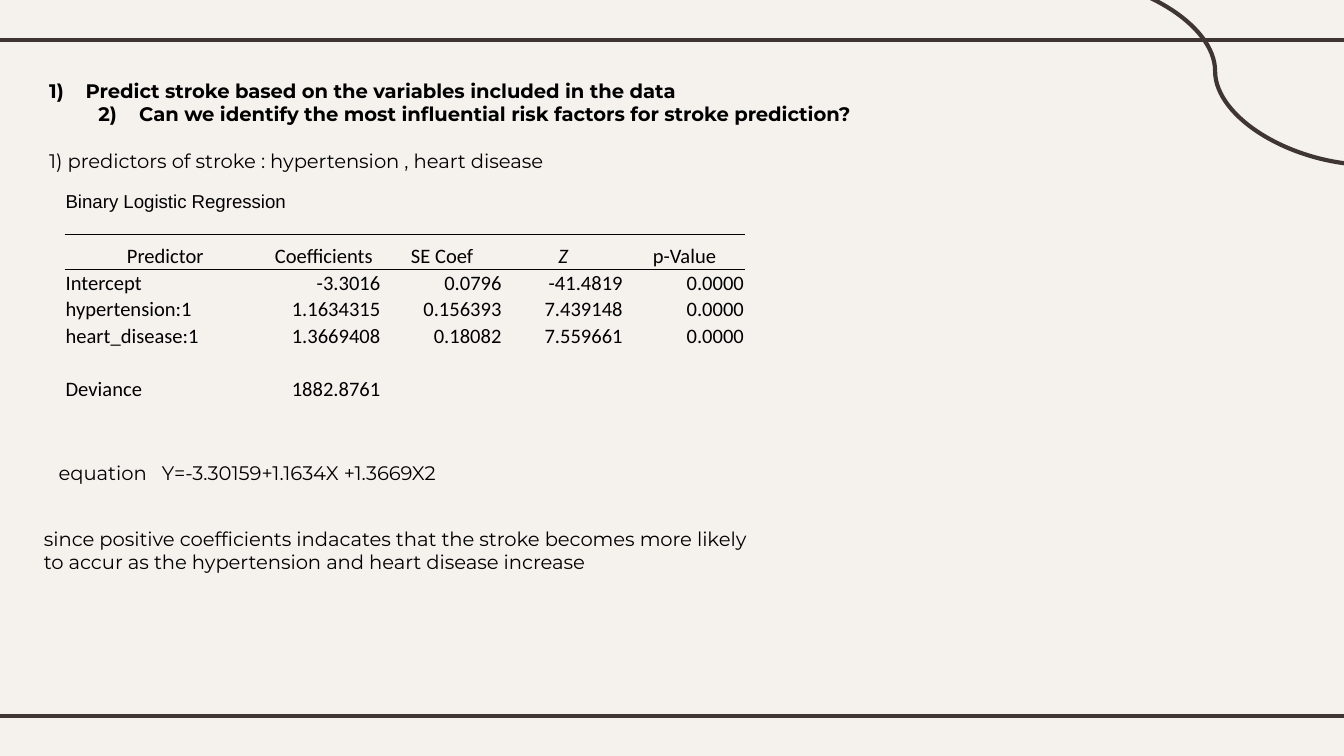
from lxml.etree import SubElement
from pptx import Presentation
from pptx.dml.color import RGBColor
from pptx.enum.shapes import MSO_CONNECTOR as Connector
from pptx.enum.text import MSO_ANCHOR as Anchor, PP_ALIGN as Align
from pptx.oxml.ns import qn
from pptx.util import Cm, Pt

CREAM = RGBColor(0xF5, 0xF2, 0xEE)
BROWN = RGBColor(0x3F, 0x35, 0x33)
BLACK = RGBColor(0, 0, 0)
NO_STYLE = "{2D5ABB26-0587-4C30-8999-92F81FD0307C}"

COLUMN_WIDTHS = [3.81, 2.18, 2.29, 2.29, 2.29]
ROW_HEIGHTS = [0.43, 0.41, 0.66] + [0.5] * 5
HEADER_ROW = 2
REGRESSION = [
    ["Binary Logistic Regression"],
    [],
    ["Predictor", "Coefficients", "SE Coef", "Z", "p-Value"],
    ["Intercept", "-3.3016", "0.0796", "-41.4819", "0.0000"],
    ["hypertension:1", "1.1634315", "0.156393", "7.439148", "0.0000"],
    ["heart_disease:1", "1.3669408", "0.18082", "7.559661", "0.0000"],
    [],
    ["Deviance", "1882.8761"],
]


def add_line(page, start, end, kind=Connector.STRAIGHT):
    line = page.shapes.add_connector(kind, *(Cm(v) for v in start + end))
    line.line.color.rgb = BROWN
    line.line.width = Pt(2.25)
    SubElement(line._element.spPr, qn("a:effectLst"))


def add_box(page, left, top, width, height, inset=0.13):
    box = page.shapes.add_textbox(Cm(left), Cm(top), Cm(width), Cm(height))
    frame = box.text_frame
    frame.word_wrap = True
    frame.margin_top = frame.margin_bottom = Cm(inset)
    return frame


def write(para, text, font="Montserrat", size=10.5, bold=False, italic=False,
          align=Align.LEFT, before=0, start=0, tab=None):
    """Fill a paragraph; start and tab are distances in cm from the text edge."""
    properties = para._p.get_or_add_pPr()
    if start:
        hang = (tab or start) - start
        properties.set("marL", str(Cm(start + hang)))
        properties.set("indent", str(-Cm(hang)))
    if tab:
        stops = SubElement(properties, qn("a:tabLst"))
        SubElement(stops, qn("a:tab"), pos=str(Cm(tab)), algn="l")
    para.alignment = align
    if before:
        para.space_before = Pt(before)
    span = para.add_run()
    span.text = text
    span.font.name = font
    span.font.size = Pt(size)
    span.font.bold = bold
    span.font.italic = italic
    span.font.color.rgb = BLACK


def add_border(cell, side):
    border = SubElement(cell._tc.get_or_add_tcPr(), qn(f"a:{side}"), w=str(Pt(0.5)))
    fill = SubElement(border, qn("a:solidFill"))
    SubElement(fill, qn("a:srgbClr"), val=str(BLACK))


def fill_cell(cell, text, row, column):
    cell.margin_left = cell.margin_right = cell.margin_top = Cm(0.02)
    cell.margin_bottom = 0
    cell.vertical_anchor = Anchor.BOTTOM
    if row == HEADER_ROW:
        add_border(cell, "lnT")
        add_border(cell, "lnB")
    cell.fill.background()
    para = cell.text_frame.paragraphs[0]
    if not text:
        SubElement(para._p, qn("a:endParaRPr"), sz="800")
    elif row == 0:
        write(para, text, font="Arial", size=10)
    elif row == HEADER_ROW:
        write(para, text, font="Calibri", size=11, italic=text == "Z", align=Align.CENTER)
    else:
        write(para, text, font="Calibri", size=11,
              align=Align.RIGHT if column else Align.LEFT)


def add_regression_table(page, left, top):
    frame = page.shapes.add_table(
        len(ROW_HEIGHTS), len(COLUMN_WIDTHS), Cm(left), Cm(top),
        Cm(sum(COLUMN_WIDTHS)), Cm(sum(ROW_HEIGHTS)))
    table = frame.table
    table.first_row = table.horz_banding = False
    table._tbl.tblPr.find(qn("a:tableStyleId")).text = NO_STYLE
    for column, width in zip(table.columns, COLUMN_WIDTHS):
        column.width = Cm(width)
    for row, height in zip(table.rows, ROW_HEIGHTS):
        row.height = Cm(height)
    for r, values in enumerate(REGRESSION):
        for c in range(len(COLUMN_WIDTHS)):
            fill_cell(table.cell(r, c), values[c] if c < len(values) else "", r, c)
    table.cell(0, 0).merge(table.cell(0, 1))


def add_questions(page):
    frame = add_box(page, 0.58, 1.24, 22.83, 12.07, inset=0.25)
    write(frame.paragraphs[0],
          "1)\tPredict stroke based on the variables included in the data",
          bold=True, start=0.1, tab=0.79)
    write(frame.add_paragraph(),
          "2)\tCan we identify the most influential risk factors for stroke prediction?",
          bold=True, start=1.03, tab=1.8)
    write(frame.add_paragraph(),
          "1) predictors of stroke : hypertension , heart disease",
          before=12.6, start=0.1)


def main():
    deck = Presentation()
    deck.slide_width, deck.slide_height = Cm(25.4), Cm(14.29)
    page = deck.slides.add_slide(deck.slide_layouts[6])
    page.background.fill.solid()
    page.background.fill.fore_color.rgb = CREAM

    for height in (0.76, 13.54):
        add_line(page, (-0.2, height), (25.6, height))
    add_line(page, (20.02, -0.43), (25.91, 3.12), Connector.CURVE)

    add_questions(page)
    add_regression_table(page, 1.22, 3.58)
    equation = add_box(page, 0.86, 8.59, 10.08, 0.74)
    write(equation.paragraphs[0], "equation\tY=-3.30159+1.1634X +1.3669X2", tab=1.95)
    conclusion = add_box(page, 0.58, 9.83, 14.12, 1.14)
    write(conclusion.paragraphs[0],
          "since positive coefficients indacates that the stroke becomes more likely "
          "to accur as the hypertension and heart disease increase")
    deck.save("out.pptx")


if __name__ == "__main__":
    main()
